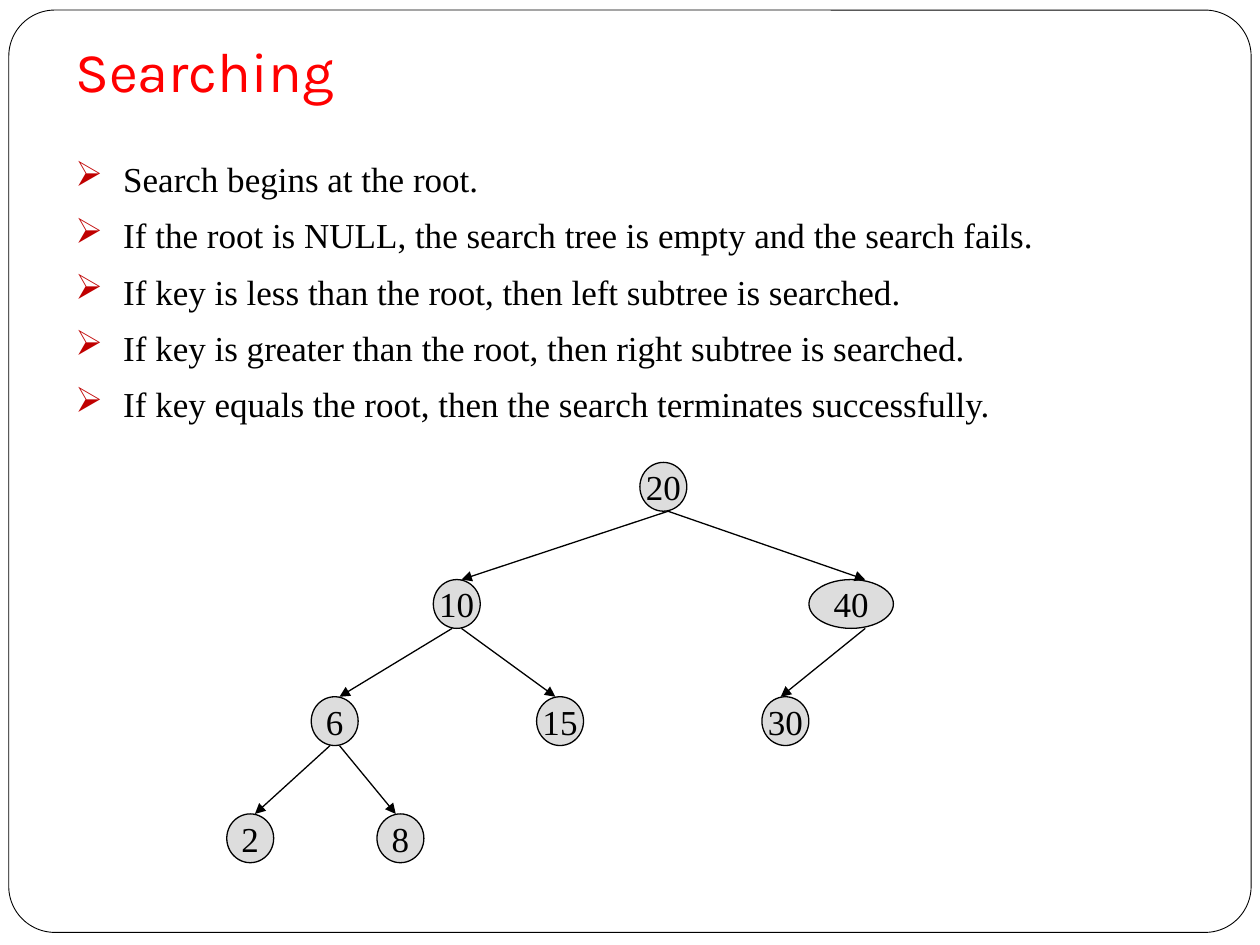
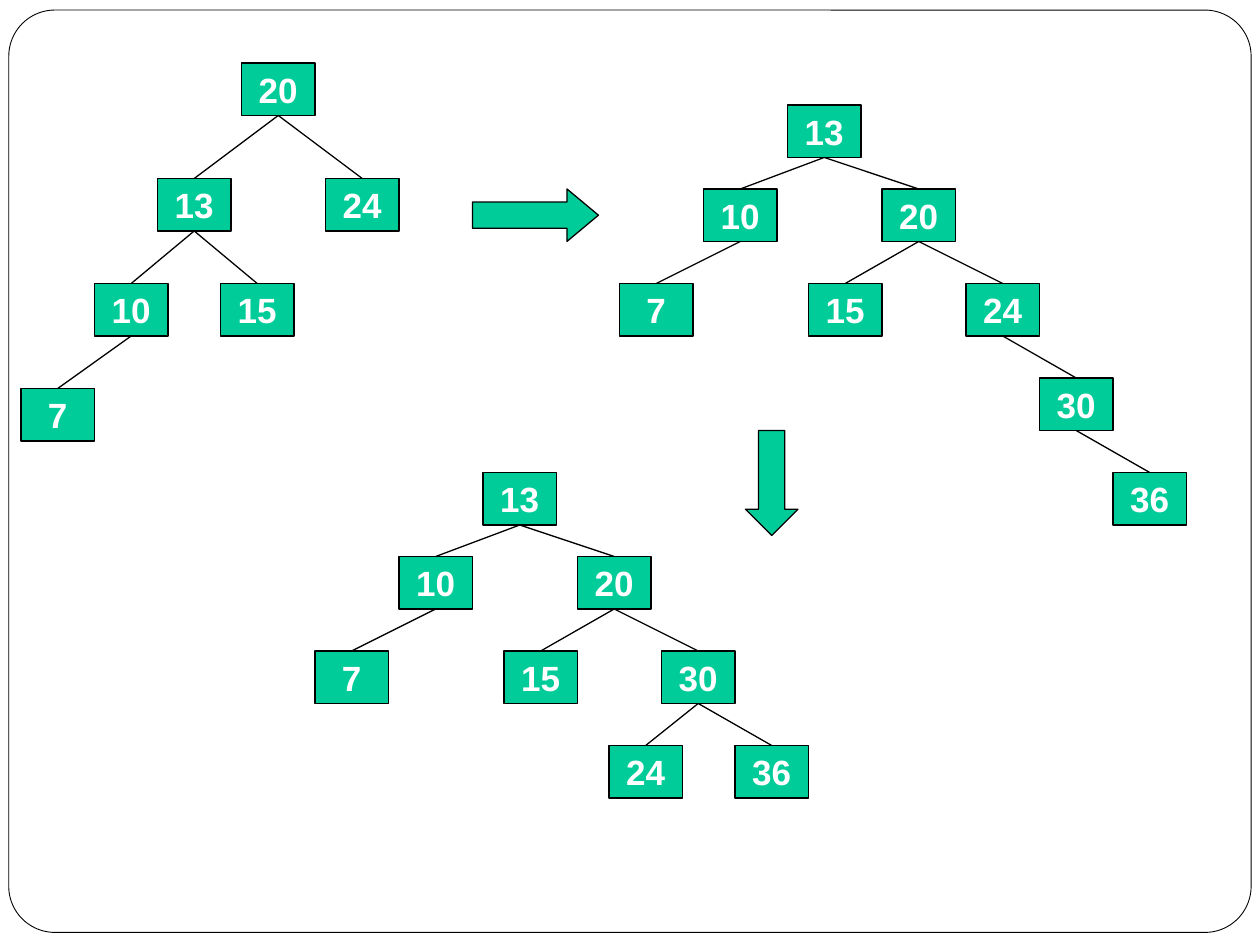
from dataclasses import dataclass
from typing import NamedTuple

import pptx
import pptx.dml.color
import pptx.enum.shapes
import pptx.enum.text
import pptx.oxml.ns
import pptx.util
from lxml import etree

Inches, Pt = pptx.util.Inches, pptx.util.Pt
MSO_SHAPE = pptx.enum.shapes.MSO_SHAPE
PP_ALIGN = pptx.enum.text.PP_ALIGN
ANCHOR = pptx.enum.text.MSO_ANCHOR
qn = pptx.oxml.ns.qn

COLORS = {
    "ink": "000000",
    "title": "FF0000",
    "bullet": "C00000",
    "oval": "DDDDDD",
    "green": "00CC99",
    "white": "FFFFFF",
}
TITLE_FONT, BODY_FONT, BOX_FONT = "Karla", "Times New Roman", "Arial"
SLIDE_W, SLIDE_H = 10, 7.5


class Grid(NamedTuple):
    """Origin and cell size in inches."""
    left: float
    top: float
    col: float
    row: float

    def x(self, col: float) -> int:
        return Inches(self.left + col * self.col)

    def y(self, row: float) -> int:
        return Inches(self.top + row * self.row)

    def box(self, col: float, row: float, cols: float, rows: float) -> tuple:
        return self.x(col), self.y(row), Inches(cols * self.col), Inches(rows * self.row)


PAGE = Grid(0, 0, SLIDE_W / 120, SLIDE_H / 90)
OVALS = Grid(1.8, 3.67, 4.62 / 62, 0.93 / 12)
LEVEL_ROWS, NODE_ROWS = 12, 5


@dataclass(frozen=True)
class Oval:
    key: int
    col: int
    level: int
    cols: int = 5

    @property
    def row(self) -> int:
        return self.level * LEVEL_ROWS


class Link(NamedTuple):
    parent: int
    child: int
    start_col: int
    end_col: int


@dataclass(frozen=True)
class Box:
    key: int
    col: int
    row: int
    parent: int | None = None


class BlockArrow(NamedTuple):
    kind: int
    place: tuple
    head: float


# Slide content
RULES = [
    "Search begins at the root.",
    "If the root is NULL, the search tree is empty and the search fails.",
    "If key is less than the root, then left subtree is searched.",
    "If key is greater than the root, then right subtree is searched.",
    "If key equals the root, then the search terminates successfully.",
]
SEARCH_TREE = [
    Oval(20, 44, 0),
    Oval(10, 22, 1), Oval(40, 62, 1, cols=9),
    Oval(6, 9, 2), Oval(15, 33, 2), Oval(30, 57, 2),
    Oval(2, 0, 3), Oval(8, 16, 3),
]
SEARCH_LINKS = [
    Link(20, 10, 47, 25), Link(20, 40, 47, 68),
    Link(10, 6, 24, 12), Link(10, 15, 25, 35), Link(40, 30, 68, 59),
    Link(6, 2, 11, 3), Link(6, 8, 12, 18),
]
ROTATION_TREES = [
    [Box(20, 23, 6), Box(13, 15, 17, 20), Box(24, 31, 17, 20),
     Box(10, 9, 27, 13), Box(15, 21, 27, 13), Box(7, 2, 37, 10)],
    [Box(13, 75, 10), Box(10, 67, 18, 13), Box(20, 84, 18, 13),
     Box(7, 59, 27, 10), Box(15, 77, 27, 20), Box(24, 92, 27, 20),
     Box(30, 99, 36, 24), Box(36, 106, 45, 30)],
    [Box(13, 46, 45), Box(10, 38, 53, 13), Box(20, 55, 53, 13),
     Box(7, 30, 62, 10), Box(15, 48, 62, 20), Box(30, 63, 62, 20),
     Box(24, 58, 71, 30), Box(36, 70, 71, 30)],
]
BLOCK_ARROWS = [
    BlockArrow(MSO_SHAPE.RIGHT_ARROW, (45, 18, 12, 5), 0.6),
    BlockArrow(MSO_SHAPE.DOWN_ARROW, (71, 41, 5, 10), 0.5),
]


# Drawing helpers
def rgb(name: str) -> pptx.dml.color.RGBColor:
    return pptx.dml.color.RGBColor.from_string(COLORS[name])


def add_text(tf, text: str, *, size: float = 20, font: str = BODY_FONT,
             color: str = "ink", bold: bool = False, align=PP_ALIGN.LEFT,
             anchor=ANCHOR.TOP, wrap: bool = True, bullet: str | None = None,
             spacing: float = 1, before: float = 0) -> None:
    """Write one paragraph for each line of text."""
    tf.word_wrap, tf.vertical_anchor = wrap, anchor
    for i, line in enumerate(text.split("\n")):
        p = tf.add_paragraph() if i else tf.paragraphs[0]
        p.alignment, p.line_spacing, p.space_before = align, spacing, Pt(before)
        r = p.add_run()
        r.text = line
        r.font.size, r.font.name, r.font.bold = Pt(size), font, bold
        r.font.color.rgb = rgb(color)
        if bullet:
            pPr = p._p.get_or_add_pPr()
            pPr.set("marL", str(Inches(0.38)))
            pPr.set("indent", str(-Inches(0.38)))
            clr = etree.SubElement(pPr, qn("a:buClr"))
            etree.SubElement(clr, qn("a:srgbClr"), val=COLORS["bullet"])
            etree.SubElement(pPr, qn("a:buChar"), char=bullet)


def add_shape(s, kind: int, place: tuple, fill: str | None = None, width: float = 0.75):
    sp = s.shapes.add_shape(kind, *place)
    sp.shadow.inherit = False
    if fill:
        sp.fill.solid()
        sp.fill.fore_color.rgb = rgb(fill)
    else:
        sp.fill.background()
    sp.line.color.rgb, sp.line.width = rgb("ink"), Pt(width)
    return sp


def add_node(s, kind: int, place: tuple, key: int, fill: str, **fmt):
    sp = add_shape(s, kind, place, fill)
    add_text(sp.text_frame, str(key), align=PP_ALIGN.CENTER,
             anchor=ANCHOR.MIDDLE, wrap=False, **fmt)
    return sp


def add_line(s, x1: int = 0, y1: int = 0, x2: int = 0, y2: int = 0, arrow: bool = False):
    line = s.shapes.add_connector(pptx.enum.shapes.MSO_CONNECTOR.STRAIGHT, x1, y1, x2, y2)
    line.line.color.rgb, line.line.width = rgb("ink"), Pt(0.75)
    if arrow:
        etree.SubElement(line.line._get_or_add_ln(), qn("a:tailEnd"), type="triangle")
    etree.SubElement(line._element.spPr, qn("a:effectLst"))
    return line


def add_framed_slide(prs):
    s = prs.slides.add_slide(prs.slide_layouts[6])
    s.background.fill.solid()
    s.background.fill.fore_color.rgb = rgb("white")
    frame = add_shape(s, MSO_SHAPE.ROUNDED_RECTANGLE,
                      PAGE.box(0.84, 0.96, 118.32, 87.84), width=0.5)
    frame.adjustments[0] = 0.05
    return s


# Slides
def build_searching(prs) -> None:
    s = add_framed_slide(prs)
    title = s.shapes.add_textbox(*PAGE.box(6, 3.6, 108, 7.44)).text_frame
    title.margin_bottom = Inches(0.1)
    add_text(title, "Searching", size=32, font=TITLE_FONT, color="title",
             anchor=ANCHOR.BOTTOM)
    rules = s.shapes.add_textbox(*PAGE.box(6, 14, 108, 66.4)).text_frame
    add_text(rules, "\n".join(RULES), bullet="➢", spacing=1.1, before=5.8)

    ovals = {o.key: o for o in SEARCH_TREE}
    for o in SEARCH_TREE:
        add_node(s, MSO_SHAPE.OVAL, OVALS.box(o.col, o.row, o.cols, NODE_ROWS), o.key, "oval")
    for link in SEARCH_LINKS:
        add_line(s, OVALS.x(link.start_col), OVALS.y(ovals[link.parent].row + NODE_ROWS),
                 OVALS.x(link.end_col), OVALS.y(ovals[link.child].row), arrow=True)


def build_rotations(prs) -> None:
    s = add_framed_slide(prs)
    for tree in ROTATION_TREES:
        drawn = {}
        for b in tree:
            drawn[b.key] = add_node(s, MSO_SHAPE.RECTANGLE, PAGE.box(b.col, b.row, 7, NODE_ROWS),
                                    b.key, "green", font=BOX_FONT, color="white", bold=True)
            if b.parent is not None:
                line = add_line(s)
                line.begin_connect(drawn[b.parent], 2)
                line.end_connect(drawn[b.key], 0)
    for arrow in BLOCK_ARROWS:
        sp = add_shape(s, arrow.kind, PAGE.box(*arrow.place), "green")
        sp.adjustments[0], sp.adjustments[1] = 0.5, arrow.head


def main() -> None:
    prs = pptx.Presentation()
    prs.slide_width, prs.slide_height = Inches(SLIDE_W), Inches(SLIDE_H)
    build_searching(prs)
    build_rotations(prs)
    prs.save("out.pptx")


if __name__ == "__main__":
    main()
